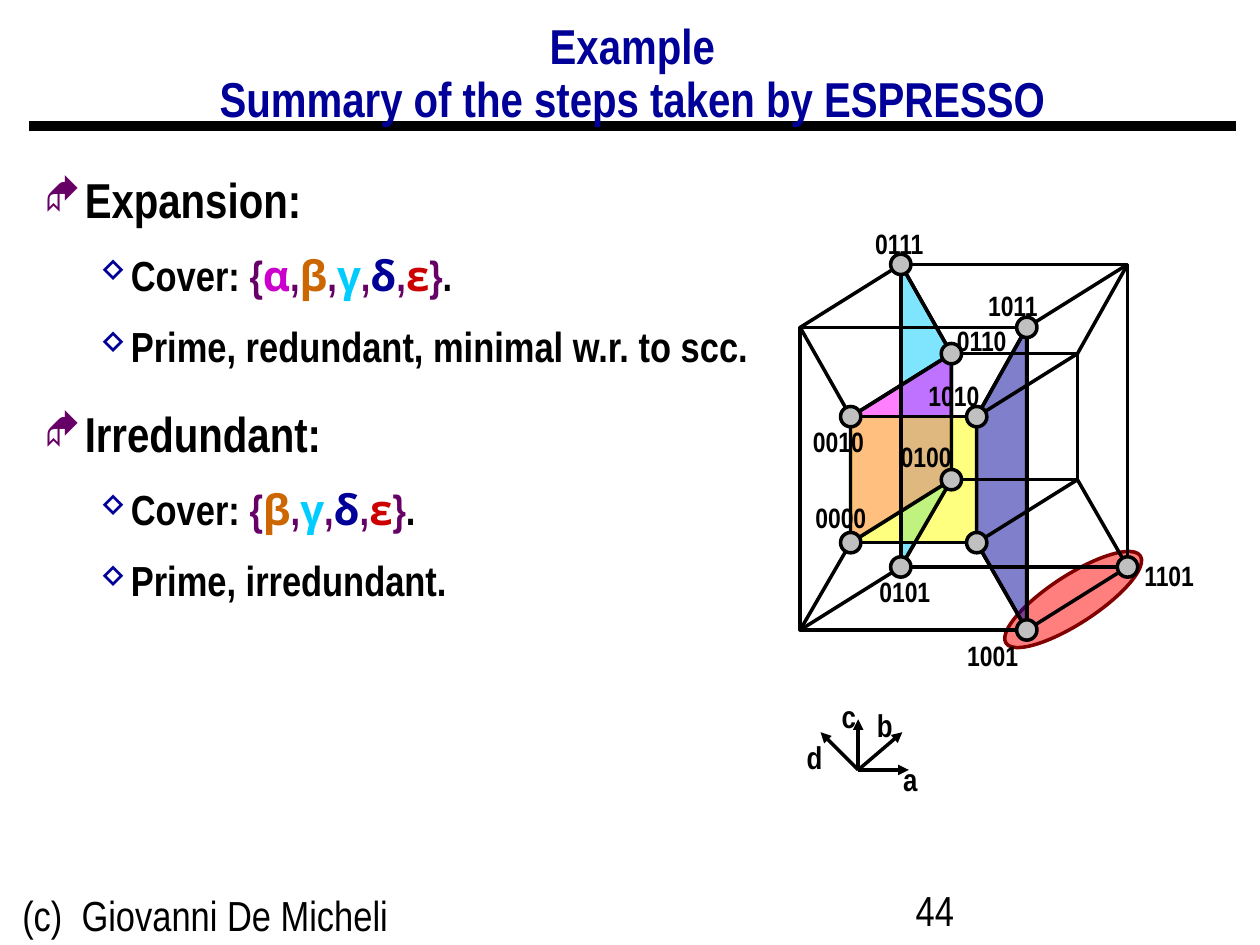
from itertools import product

from lxml import etree
from pptx import Presentation
from pptx.dml.color import RGBColor
from pptx.enum.shapes import MSO_CONNECTOR, MSO_SHAPE
from pptx.enum.text import MSO_ANCHOR, PP_ALIGN
from pptx.oxml.ns import qn
from pptx.util import Cm, Pt

STRAIGHT = MSO_CONNECTOR.STRAIGHT
RECTANGLE, OVAL = MSO_SHAPE.RECTANGLE, MSO_SHAPE.OVAL
PARALLELOGRAM = MSO_SHAPE.PARALLELOGRAM
CENTER, MIDDLE = PP_ALIGN.CENTER, MSO_ANCHOR.MIDDLE

FONT, GREEK_FONT, BULLET_FONT = "Arial Narrow", "Noto Sans", "Wingdings"
BLACK, NAVY, PURPLE = "000000", "000099", "660066"
GREEK = {"α": "CC00CC", "β": "CC6600", "γ": "00CCFF", "δ": NAVY, "ε": "CC0000"}

# Hypercube measures in cm, relative to its box
OUTER_LEFT, OUTER_TOP, OUTER_WIDTH, OUTER_HEIGHT = 0, 1.27, 4.57, 6.1
INNER_LEFT, INNER_TOP, INNER_SIDE = 1.02, 3.07, 2.54
DEPTH_X, DEPTH_Y = 2.03, -1.27
NODE_SIZE = 0.41
NODES = ["0110", "0010", "0000", "0100", "1010", "1000",
         "0111", "0101", "1011", "1001", "1101"]
# Offset of each label's centre from its vertex
LABELS = {"0111": (-0.03, -0.42), "1011": (-0.28, -0.44), "0110": (0.61, -0.27),
          "0010": (-0.25, 0.5), "0000": (-0.2, -0.5), "0101": (0.08, 0.5),
          "1101": (0.84, 0.17), "0100": (-0.51, -0.47), "1010": (-0.46, -0.42),
          "1001": (-0.69, 0.52)}
# Axis name: arrow end, label centre
AXES = {"a": ((1.02, 0), (1.05, 0.18)), "b": ((0.89, -0.76), (0.53, -0.91)),
        "c": ((0, -1.02), (-0.19, -1.09)), "d": ((-0.76, -0.76), (-0.89, -0.25))}


def color(value):
    return RGBColor.from_string(value)


def style_span(span, size, value=BLACK, bold=True, font=FONT):
    span.font.name, span.font.size, span.font.bold = font, Pt(size), bold
    span.font.color.rgb = color(value)


def add_text(page, box, text, size, value=BLACK, bold=True, align=None, wrap=True):
    frame = page.shapes.add_textbox(*map(Cm, box)).text_frame
    frame.word_wrap = wrap
    frame.text = text
    para = frame.paragraphs[0]
    para.alignment = align
    for span in para.runs:
        style_span(span, size, value, bold)
    return frame


def add_label(page, center, size, text, points):
    x, y = center
    width, height = size
    add_text(page, (x - width / 2, y - height / 2, width, height), text, points,
             align=CENTER, wrap=False)


def add_line(page, start, end, width=2, arrow=False):
    line = page.shapes.add_connector(STRAIGHT, *map(Cm, (*start, *end)))
    line.line.color.rgb = color(BLACK)
    line.line.width = Pt(width)
    if arrow:
        etree.SubElement(line.line._get_or_add_ln(), qn("a:tailEnd"), type="triangle")
    etree.SubElement(line._element.spPr, qn("a:effectLst"))


def style_shape(shape, fill=None, alpha=None, line=BLACK):
    shape.shadow.inherit = False
    shape.line.color.rgb = color(line)
    shape.line.width = Pt(2)
    if fill is None:
        shape.fill.background()
        return
    shape.fill.solid()
    shape.fill.fore_color.rgb = color(fill)
    if alpha:
        tint = shape._element.spPr.find(qn("a:solidFill"))[0]
        etree.SubElement(tint, qn("a:alpha"), val=str(alpha * 1000))


def add_centered(page, kind, center, width, height, **style):
    x, y = center
    shape = page.shapes.add_shape(kind, Cm(x - width / 2), Cm(y - height / 2),
                                  Cm(width), Cm(height))
    style_shape(shape, **style)
    return shape


def midpoint(first, second):
    return (first[0] + second[0]) / 2, (first[1] + second[1]) / 2


def add_bullet(para, level):
    margin, hang, sign, value, percent = [
        (0.82, 0.82, "◆", PURPLE, 85), (1.75, 0.64, "▲", NAVY, 75)][level]
    para.level = level
    props = para._p.get_or_add_pPr()
    props.set("marL", str(Cm(margin)))
    props.set("indent", str(-Cm(hang)))
    tint = etree.SubElement(props, qn("a:buClr"))
    etree.SubElement(tint, qn("a:srgbClr"), val=value)
    etree.SubElement(props, qn("a:buSzPct"), val=str(percent * 1000))
    etree.SubElement(props, qn("a:buFont"), typeface=BULLET_FONT)
    etree.SubElement(props, qn("a:buChar"), char=sign)


def draw_header(page, box):
    left, top, width, height = box
    add_line(page, (left - 0.08, top + 1.98), (left + width + 0.1, top + 1.98), width=6)
    frame = add_text(page, box, "Example\vSummary of the steps taken by ESPRESSO",
                     28, NAVY, align=CENTER)
    frame.vertical_anchor = MIDDLE
    frame.paragraphs[0].line_spacing = 0.9


def draw_steps(page, box):
    frame = page.shapes.add_textbox(*map(Cm, box)).text_frame
    frame.word_wrap = True
    lines = [(0, "Expansion:"), (1, "Cover: {α,β,γ,δ,ε}."),
             (1, "Prime, redundant, minimal w.r. to scc."),
             (0, "Irredundant:"), (1, "Cover: {β,γ,δ,ε}."),
             (1, "Prime, irredundant.")]
    for index, (level, text) in enumerate(lines):
        para = frame.add_paragraph() if index else frame.paragraphs[0]
        add_bullet(para, level)
        para.line_spacing = (1.25, 1.1)[level]
        para.space_before = Pt((10.5, 9)[level] if index else 0)
        size = (28, 24)[level]
        lead, brace, cover = text.partition("{")
        for piece in [lead, *brace, *cover]:
            span = para.add_run()
            span.text = piece
            if piece in GREEK:
                style_span(span, size, GREEK[piece], font=GREEK_FONT)
            else:
                style_span(span, size, PURPLE if piece in "{,}" else BLACK)


def draw_hypercube(page, left, top):
    def vertex(code):
        a, b, c, d = map(int, code)
        if d:
            x, y, width, height = OUTER_LEFT, OUTER_TOP, OUTER_WIDTH, OUTER_HEIGHT
        else:
            x, y, width, height = INNER_LEFT, INNER_TOP, INNER_SIDE, INNER_SIDE
        return (left + x + a * width + b * DEPTH_X,
                top + y + (1 - c) * height + b * DEPTH_Y)

    def add_face(codes, fill):
        start, *others = [tuple(map(Cm, vertex(code))) for code in codes]
        builder = page.shapes.build_freeform(*start)
        builder.add_line_segments(others, close=True)
        style_shape(builder.convert_to_shape(), fill, 50)

    # Implicants
    add_face(("0101", "0100", "0110", "0111"), "00CCFF")
    slanted = add_centered(page, PARALLELOGRAM, midpoint(vertex("0010"), vertex("0100")),
                           INNER_SIDE - DEPTH_Y, DEPTH_X, fill="FF00FF", alpha=50)
    slanted.adjustments[0] = -DEPTH_Y / DEPTH_X
    slanted.rotation = 90
    slanted._element.spPr.xfrm.set("flipH", "1")
    add_centered(page, RECTANGLE, midpoint(vertex("0010"), vertex("1000")),
                 INNER_SIDE, INNER_SIDE, fill="FFFF00", alpha=50)
    oval_x, oval_y = midpoint(vertex("1001"), vertex("1101"))
    oval = add_centered(page, OVAL, (oval_x - 0.08, oval_y + 0.02),
                        3.23, 0.97, fill="FF0000", alpha=50, line="800000")
    oval.rotation = 327
    add_face(("1011", "1010", "1000", "1001"), NAVY)

    # Front and back squares of the inner and outer cubes
    for d, b in product("01", repeat=2):
        x, y = vertex(f"0{b}1{d}")
        right, bottom = vertex(f"1{b}0{d}")
        add_centered(page, RECTANGLE, midpoint((x, y), (right, bottom)),
                     right - x, bottom - y)

    # Edges along b and d
    for a, c, other in product("01", repeat=3):
        add_line(page, vertex(f"{a}0{c}{other}"), vertex(f"{a}1{c}{other}"))
        add_line(page, vertex(f"{a}{other}{c}0"), vertex(f"{a}{other}{c}1"))

    # Labels, then nodes
    for code, (dx, dy) in LABELS.items():
        x, y = vertex(code)
        add_label(page, (x + dx, y + dy), (1.6, 0.94), code, 16)
    for code in NODES:
        add_centered(page, OVAL, vertex(code), NODE_SIZE, NODE_SIZE, fill="C0C0C0")


def draw_axes(page, x, y):
    for name, ((end_x, end_y), (label_x, label_y)) in AXES.items():
        add_line(page, (x, y), (x + end_x, y + end_y), arrow=True)
        add_label(page, (x + label_x, y + label_y), (0.8, 1.02), name, 18)


def draw_footer(page, left, top):
    add_text(page, (left, top + 0.1, 8.03, 1.32), "(c)  Giovanni De Micheli", 24, bold=False)
    add_text(page, (left + 18.01, top, 5.92, 1.32), "44", 24, bold=False)


def main():
    deck = Presentation()
    deck.slide_width, deck.slide_height = Cm(25.4), Cm(19.05)
    page = deck.slides.add_slide(deck.slide_layouts[6])
    draw_header(page, (0.67, 0.56, 24.15, 1.91))
    draw_footer(page, 0.2, 17.7)
    draw_steps(page, (0.64, 3, 24.15, 14.45))
    draw_axes(page, 17.3, 15.52)
    draw_hypercube(page, 16.13, 5.33)
    deck.save("out.pptx")


if __name__ == "__main__":
    main()
